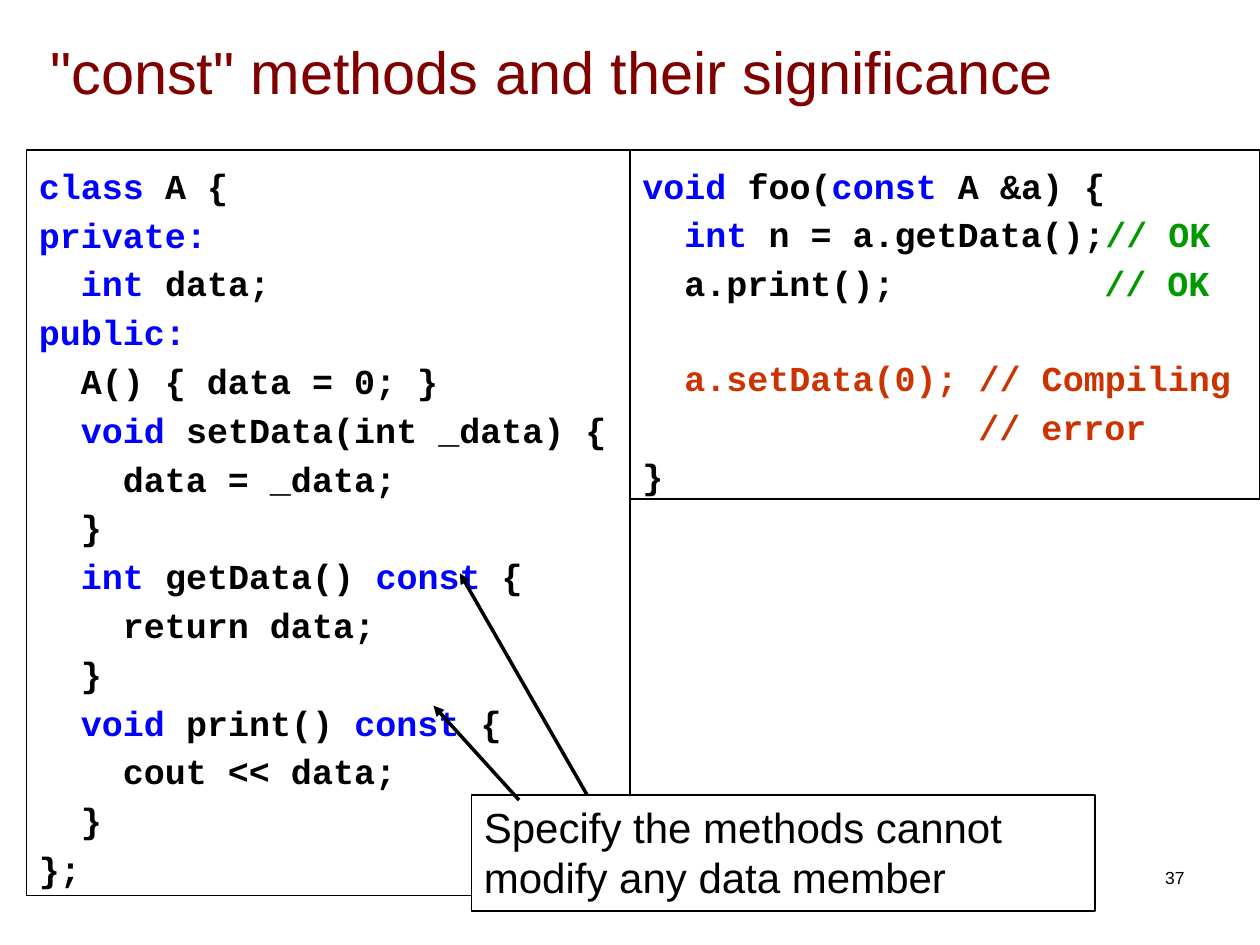
from lxml import etree
from pptx import Presentation
from pptx import util as u
from pptx.dml.color import RGBColor
from pptx.enum import shapes, text
from pptx.oxml import ns

HUES = {"ink": "000000", "paper": "FFFFFF", "title": "800000",
        "key": "0000FF", "good": "009900", "bad": "CC3300"}
COL = 1 / 6
LEAD = 1.5
GAP = 27.9

CLASS = [
    (0, "*class* A {"), (0, "*private:*"), (2, "*int* data;"),
    (0, "*public:*"), (2, "A() { data = 0; }"),
    (2, "*void* setData(int _data) {"), (4, "data = _data;"), (2, "}"),
    (2, "*int* getData() *const* {"), (4, "return data;"), (2, "}"),
    (2, "*void* print() *const* {"), (4, "cout << data;"), (2, "}"),
    (0, "};"),
]
USE = [
    (0, "*void* foo(*const* A &a) {"),
    (2, "*int* n = a.getData();// OK"),
    (0, "\ta.print();\t// OK"),
    (2, "a.setData(0); // Compiling", "bad", GAP),
    (16, "// error", "bad"),
    (0, "}"),
]


def hue(name):
    """Return the colour of a given name."""
    return RGBColor.from_string(HUES[name])


def place(shape, box):
    """Move a shape to a box in inches."""
    shape.left, shape.top, shape.width, shape.height = map(u.Inches, box)


def style(font, size, name="ink", face="Arial"):
    """Set the size, colour and face of a font."""
    font.size, font.name = u.Pt(size), face
    font.color.rgb = hue(name)


def frame(shape):
    """Give a shape a white fill and a thin black border."""
    shape.fill.solid()
    shape.fill.fore_color.rgb = hue("paper")
    shape.line.color.rgb = hue("ink")
    shape.line.width = u.Pt(0.74)


def stops(para, cols):
    """Add tab stops at character columns."""
    tabs = etree.SubElement(para._p.get_or_add_pPr(), ns.qn("a:tabLst"))
    for col in cols:
        etree.SubElement(tabs, ns.qn("a:tab"), pos=str(u.Inches(col * COL)), algn="l")


def write(para, col, line, name="ink", lead=LEAD):
    """Write one code line, with starred keywords and a closing comment."""
    para.alignment = text.PP_ALIGN.LEFT
    para.line_spacing, para.space_before = 1.1, u.Pt(lead)
    para._p.get_or_add_pPr().set("marL", str(u.Inches(col * COL)))
    if "\t" in line:
        stops(para, (2, 22))
    style(para.font, 20, name, "Courier New")
    para.font.bold = True
    code, mark, note = line.partition("//")
    parts = [(part, "key" if i % 2 else name) for i, part in enumerate(code.split("*"))]
    parts.append((mark + note, "good" if name == "ink" else name))
    for part, tone in parts:
        if part:
            run = para.add_run()
            run.text = part
            style(run.font, 20, tone, "Courier New")
            run.font.bold = True


def listing(slide, box, lines):
    """Draw a framed code listing."""
    shape = slide.shapes.add_shape(shapes.MSO_SHAPE.RECTANGLE, *map(u.Inches, box))
    shape.shadow.inherit = False
    frame(shape)
    body = shape.text_frame
    body.word_wrap = False
    body.vertical_anchor = text.MSO_ANCHOR.TOP
    body.margin_top = u.Inches(0.08)
    for i, line in enumerate(lines):
        write(body.add_paragraph() if i else body.paragraphs[0], *line)


def heading(slide, box):
    """Fill the title."""
    title = slide.shapes.title
    place(title, box)
    body = title.text_frame
    body.text = '"const" methods and their significance'
    body.auto_size = text.MSO_AUTO_SIZE.NONE
    body.vertical_anchor = text.MSO_ANCHOR.MIDDLE
    para = body.paragraphs[0]
    para.alignment = text.PP_ALIGN.LEFT
    style(para.font, 34, "title")


def arrow(slide, start, end):
    """Draw an arrow between two points."""
    line = slide.shapes.add_connector(
        shapes.MSO_CONNECTOR.STRAIGHT, *map(u.Inches, start + end))
    line.line.color.rgb = hue("ink")
    line.line.width = u.Pt(2)
    etree.SubElement(line.line._get_or_add_ln(), ns.qn("a:tailEnd"), type="triangle")
    etree.SubElement(line._element.spPr, ns.qn("a:effectLst"))


def callout(slide, box):
    """Place the note over the listing, with arrows to both const marks."""
    note = slide.placeholders[1]
    place(note, box)
    frame(note)
    note.element.getparent().append(note.element)
    body = note.text_frame
    body.text = "Specify the methods cannot modify any data member"
    body.auto_size = text.MSO_AUTO_SIZE.NONE
    para = body.paragraphs[0]
    para.space_before = u.Pt(6)
    props = para._p.get_or_add_pPr()
    props.set("marL", "0")
    props.set("indent", "0")
    etree.SubElement(props, ns.qn("a:buNone"))
    style(para.font, 24)
    x, y = box[:2]
    arrow(slide, (x + 0.38, y + 0.04), (x - 0.3, y - 0.71))
    arrow(slide, (x + 0.92, y), (x - 0.09, y - 1.76))


def number(slide, box):
    """Write the page number."""
    body = slide.shapes.add_textbox(*map(u.Inches, box)).text_frame
    body.word_wrap = True
    body.text = "37"
    para = body.paragraphs[0]
    para.alignment = text.PP_ALIGN.RIGHT
    style(para.font, 10)


def build():
    """Build and save the slide."""
    deck = Presentation()
    deck.slide_width, deck.slide_height = u.Inches(10), u.Inches(7.5)
    slide = deck.slides.add_slide(deck.slide_layouts[1])
    number(slide, (7.17, 6.83, 2.33, 0.5))
    heading(slide, (0.3, 0.18, 9.7, 0.76))
    listing(slide, (0.21, 1.19, 4.79, 5.92), CLASS)
    callout(slide, (3.74, 6.31, 4.95, 0.92))
    listing(slide, (5, 1.19, 5, 2.77), USE)
    deck.save("out.pptx")


build()
